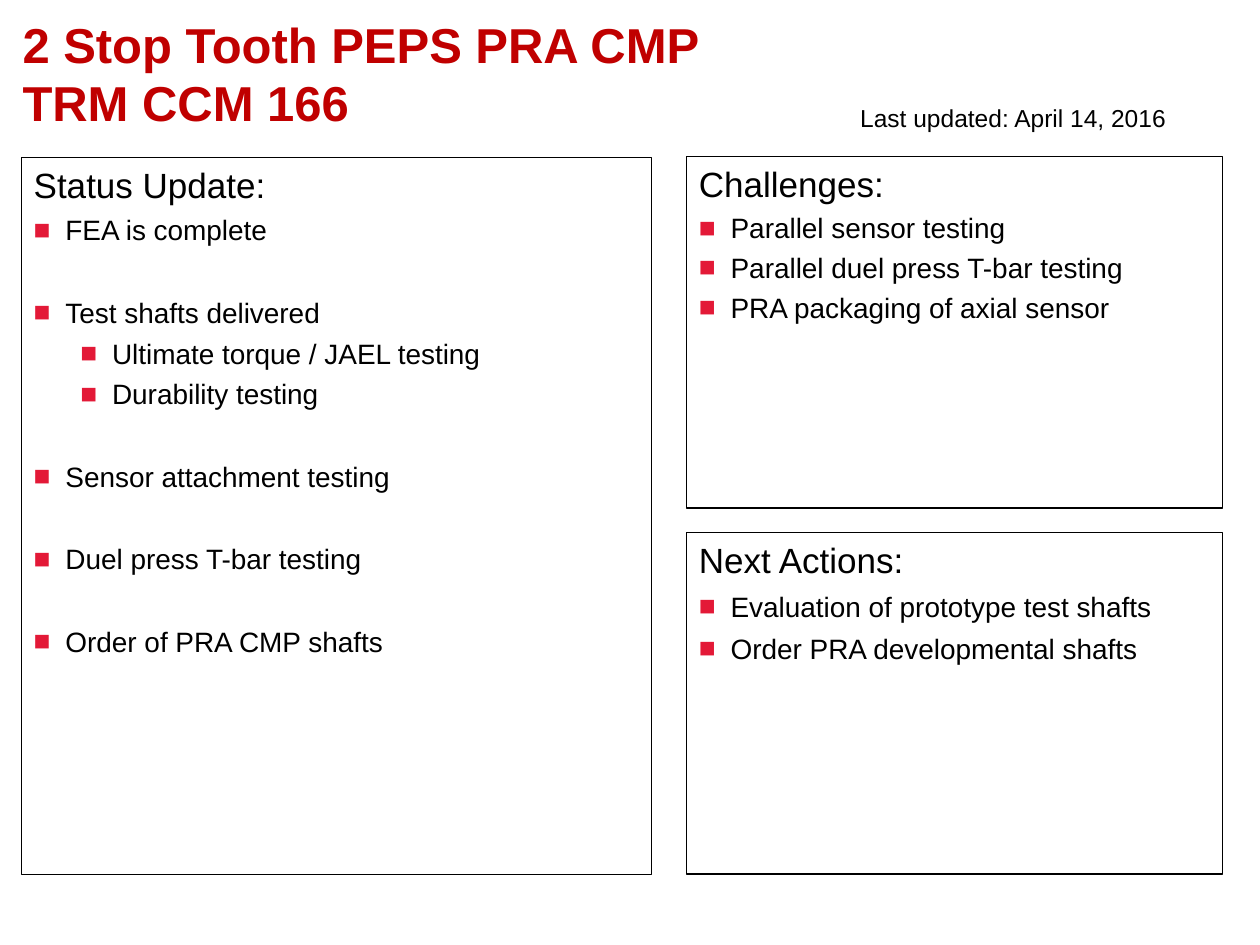
from lxml.etree import SubElement
from pptx import Presentation
from pptx.dml.color import RGBColor
from pptx.enum.shapes import MSO_SHAPE
from pptx.enum.text import MSO_ANCHOR, MSO_AUTO_SIZE, PP_ALIGN
from pptx.oxml.ns import qn
from pptx.util import Cm, Pt

COLORS = {"title": "C00000", "text": "000000", "bullet": "E31937"}
FONT = "Arial"
GROUP_GAP = 28
INDENT = 0.64
SUB_INDENT = 1.58


def rgb(name):
    return RGBColor.from_string(COLORS[name])


def format_runs(paragraph, size, color="text", bold=False):
    for run in paragraph.runs:
        run.font.name = FONT
        run.font.size = Pt(size)
        run.font.bold = bold
        run.font.color.rgb = rgb(color)


def set_bullet(paragraph, margin):
    properties = paragraph._p.get_or_add_pPr()
    properties.set("marL", str(Cm(margin)))
    properties.set("indent", str(-Cm(INDENT)))
    bullet_color = SubElement(properties, qn("a:buClr"))
    SubElement(bullet_color, qn("a:srgbClr"), val=COLORS["bullet"])
    SubElement(properties, qn("a:buFont"), typeface=FONT)
    SubElement(properties, qn("a:buChar"), char="■")


def add_title(slide, text):
    title = slide.shapes.title
    title.left, title.top, title.width, title.height = Cm(0.2), Cm(0.2), Cm(16.94), Cm(2.54)
    frame = title.text_frame
    frame.text = text
    frame.auto_size = MSO_AUTO_SIZE.NONE
    frame.vertical_anchor = MSO_ANCHOR.MIDDLE
    heading = frame.paragraphs[0]
    heading.alignment = PP_ALIGN.LEFT
    format_runs(heading, 28, "title", bold=True)


def add_date(slide, text):
    date = slide.shapes.add_textbox(Cm(16.08), Cm(1.96), Cm(8.69), Cm(1.02))
    frame = date.text_frame
    frame.word_wrap = True
    frame.text = text
    frame.paragraphs[0].alignment = PP_ALIGN.CENTER
    format_runs(frame.paragraphs[0], 14)


def add_panel(slide, left, top, width, height, heading, items):
    panel = slide.shapes.add_shape(MSO_SHAPE.RECTANGLE, Cm(left), Cm(top), Cm(width), Cm(height))
    panel.shadow.inherit = False
    panel.fill.background()
    panel.line.color.rgb = rgb("text")
    panel.line.width = Pt(0.75)
    frame = panel.text_frame
    frame.word_wrap = True
    frame.vertical_anchor = MSO_ANCHOR.TOP
    frame.text = heading
    frame.paragraphs[0].alignment = PP_ALIGN.LEFT
    format_runs(frame.paragraphs[0], 20)
    for text, level, space_before in items:
        item = frame.add_paragraph()
        item.text = text
        item.level = level
        item.alignment = PP_ALIGN.LEFT
        item.space_before = Pt(space_before)
        set_bullet(item, SUB_INDENT if level else INDENT)
        format_runs(item, 16)


def main():
    deck = Presentation()
    deck.slide_width, deck.slide_height = Cm(25.4), Cm(19.05)
    slide = deck.slides.add_slide(deck.slide_layouts[5])

    add_title(slide, "2 Stop Tooth PEPS PRA CMP\vTRM CCM 166")
    add_date(slide, "Last updated: April 14, 2016")

    status = [
        ("FEA is complete", 0, 4),
        ("Test shafts delivered", 0, GROUP_GAP),
        ("Ultimate torque / JAEL testing", 1, 4),
        ("Durability testing", 1, 4),
        ("Sensor attachment testing", 0, GROUP_GAP),
        ("Duel press T-bar testing", 0, GROUP_GAP),
        ("Order of PRA CMP shafts", 0, GROUP_GAP),
    ]
    challenges = ["Parallel sensor testing", "Parallel duel press T-bar testing",
                  "PRA packaging of axial sensor"]
    actions = ["Evaluation of prototype test shafts", "Order PRA developmental shafts"]

    add_panel(slide, 0.43, 3.18, 12.7, 14.45, "Status Update:", status)
    add_panel(slide, 13.84, 3.15, 10.8, 7.09, "Challenges:",
              [(text, 0, 3.6) for text in challenges])
    add_panel(slide, 13.84, 10.74, 10.8, 6.88, "Next Actions:",
              [(text, 0, 4.8) for text in actions])

    deck.save("out.pptx")


if __name__ == "__main__":
    main()
